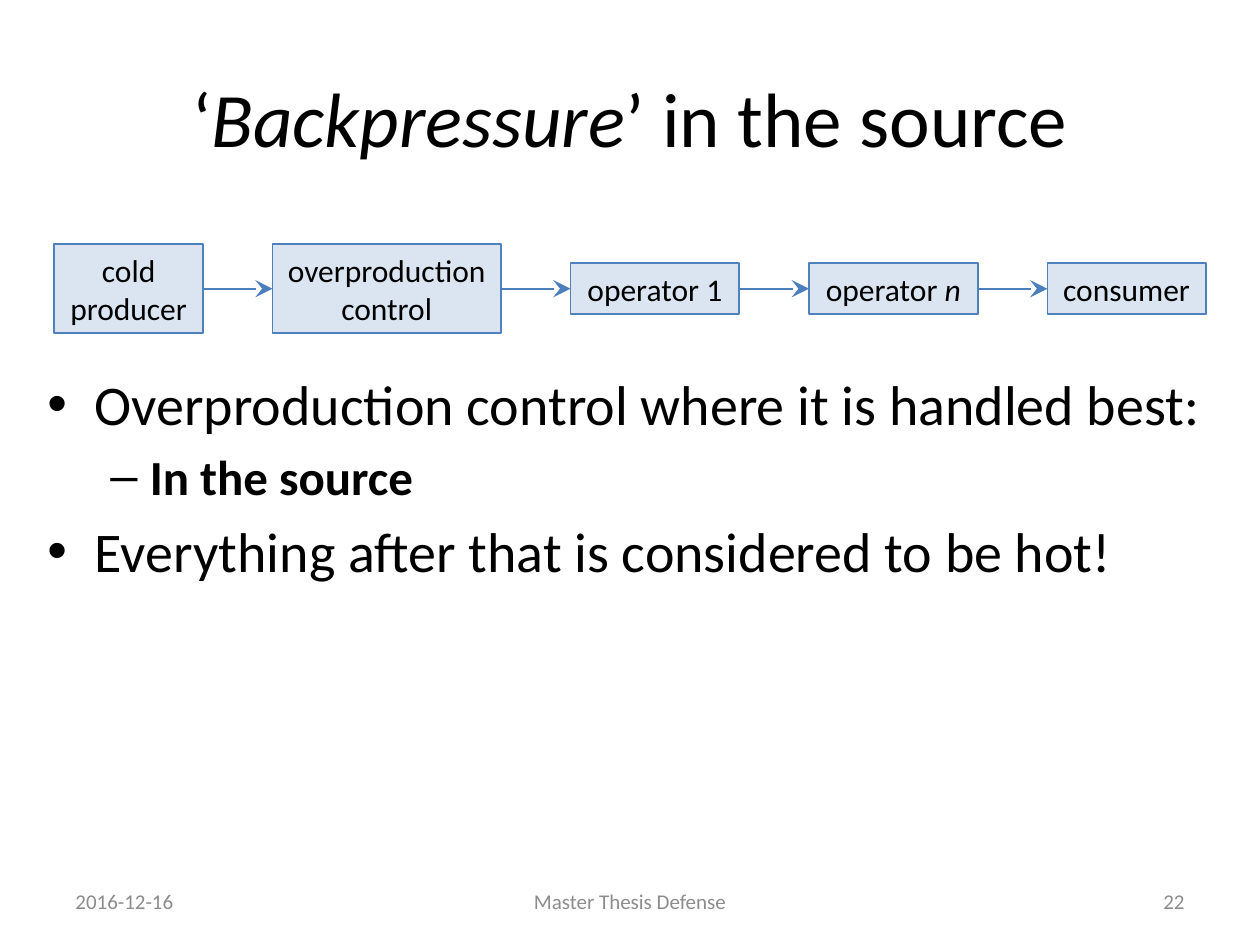
from lxml import etree
from pptx import Presentation
from pptx.dml.color import RGBColor
from pptx.enum.shapes import MSO_CONNECTOR, MSO_SHAPE
from pptx.enum.text import MSO_ANCHOR, MSO_AUTO_SIZE, PP_ALIGN
from pptx.oxml import parse_xml
from pptx.oxml.ns import qn
from pptx.util import Pt

RECT = MSO_SHAPE.RECTANGLE
LINE = MSO_CONNECTOR.STRAIGHT
MID, TOP = MSO_ANCHOR.MIDDLE, MSO_ANCHOR.TOP
GROW = MSO_AUTO_SIZE.SHAPE_TO_FIT_TEXT
LEFT, MIDDLE, RIGHT = PP_ALIGN.LEFT, PP_ALIGN.CENTER, PP_ALIGN.RIGHT

HUES = {"text": "000000", "foot": "8C8C8C", "box": "4F81BD", "arrow": "4B7EBC"}
FONT = "Calibri"


def hue(name):
    return RGBColor.from_string(HUES[name])


def add_run(para, text, size, color="text", **style):
    run = para.add_run()
    run.text = text
    look = {"name": FONT, "size": Pt(size), **style}
    for key, value in look.items():
        setattr(run.font, key, value)
    run.font.color.rgb = hue(color)


def set_frame(frame, anchor):
    look = {"word_wrap": True, "vertical_anchor": anchor}
    for key, value in look.items():
        setattr(frame, key, value)
    return frame.paragraphs[0]


def add_text(slide, box, anchor=MID):
    frame = slide.shapes.add_textbox(*map(Pt, box)).text_frame
    return frame, set_frame(frame, anchor)


def add_bullet(para, mark, indent, hang):
    props = para._p.get_or_add_pPr()
    props.set("marL", str(Pt(indent)))
    props.set("indent", str(-Pt(hang)))
    space = etree.SubElement(props, qn("a:spcBef"))
    etree.SubElement(space, qn("a:spcPct")).set("val", "20000")
    etree.SubElement(props, qn("a:buFont")).set("typeface", "Arial")
    etree.SubElement(props, qn("a:buChar")).set("char", mark)


def add_title(slide, box):
    _, para = add_text(slide, box)
    para.alignment = MIDDLE
    add_run(para, "‘", 44)
    add_run(para, "Backpressure", 44, italic=True)
    add_run(para, "’ in the source", 44)


def add_body(slide, box):
    frame, para = add_text(slide, box, TOP)
    items = [
        (0, "Overproduction control where it is handled best:"),
        (1, "In the source"),
        (0, "Everything after that is considered to be hot!"),
    ]
    # mark, indent, hang, size and weight of each level
    levels = [("•", 27, 27, 32, False), ("–", 58.5, 22.5, 28, True)]
    for i, (level, text) in enumerate(items):
        para = para if i == 0 else frame.add_paragraph()
        mark, indent, hang, size, bold = levels[level]
        para.level = level
        add_bullet(para, mark, indent, hang)
        add_run(para, text, size, bold=bold)


def add_stage(slide, box, text, slant):
    shape = slide.shapes.add_shape(RECT, *map(Pt, box))
    shape.shadow.inherit = False
    shape.fill.solid()
    shape.fill.fore_color.rgb = hue("box")
    tint = shape.fill._xPr.find(qn("a:solidFill"))[0]
    etree.SubElement(tint, qn("a:alpha")).set("val", "20000")
    shape.line.color.rgb = hue("box")
    shape.line.width = Pt(1)
    para = set_frame(shape.text_frame, MID)
    shape.text_frame.auto_size = GROW
    para.alignment = MIDDLE
    add_run(para, text, 18)
    if slant:
        add_run(para, slant, 18, italic=True)


def add_arrow(slide, start, end, y):
    arrow = slide.shapes.add_connector(LINE, Pt(start), Pt(y), Pt(end), Pt(y))
    arrow.line.color.rgb = hue("arrow")
    arrow.line.width = Pt(1)
    head = etree.SubElement(arrow.line._get_or_add_ln(), qn("a:tailEnd"))
    for key, value in {"type": "stealth", "w": "lg", "len": "lg"}.items():
        head.set(key, value)
    etree.SubElement(arrow._element.spPr, qn("a:effectLst"))


def add_flow(slide, box):
    left, top, width, height = box
    # text, italic end, width, number of lines
    stages = [
        ("cold producer", "", 85, 2),
        ("overproduction control", "", 130.5, 2),
        ("operator 1", "", 96.5, 1),
        ("operator ", "n", 96.5, 1),
        ("consumer", "", 90.5, 1),
    ]
    gap = (width - sum(stage[2] for stage in stages)) / (len(stages) - 1)
    mid = top + height / 2
    x = left
    for i, (text, slant, wide, lines) in enumerate(stages):
        tall = height if lines == 2 else 29
        add_stage(slide, (x, mid - tall / 2, wide, tall), text, slant)
        if i:
            add_arrow(slide, x - gap, x, mid)
        x += wide + gap


def add_footer(slide, box):
    left, top, width, height = box
    side, center = 168, 228
    parts = [
        ("2016-12-16", LEFT, left, side),
        ("Master Thesis Defense", MIDDLE, left + (width - center) / 2, center),
        ("22", RIGHT, left + width - side, side),
    ]
    for text, align, x, wide in parts:
        _, para = add_text(slide, (x, top, wide, height))
        para.alignment = align
        add_run(para, text, 12, "foot")


def main():
    deck = Presentation()
    deck.slide_width, deck.slide_height = Pt(720), Pt(540)
    slide = deck.slides.add_slide(deck.slide_layouts[6])
    add_title(slide, (36, 21.6, 648, 90))
    add_body(slide, (20, 207.5, 680.5, 275))
    add_flow(slide, (31, 139.5, 658, 51))
    add_footer(slide, (36, 500.5, 648, 28.75))
    deck.save("out.pptx")


if __name__ == "__main__":
    main()
